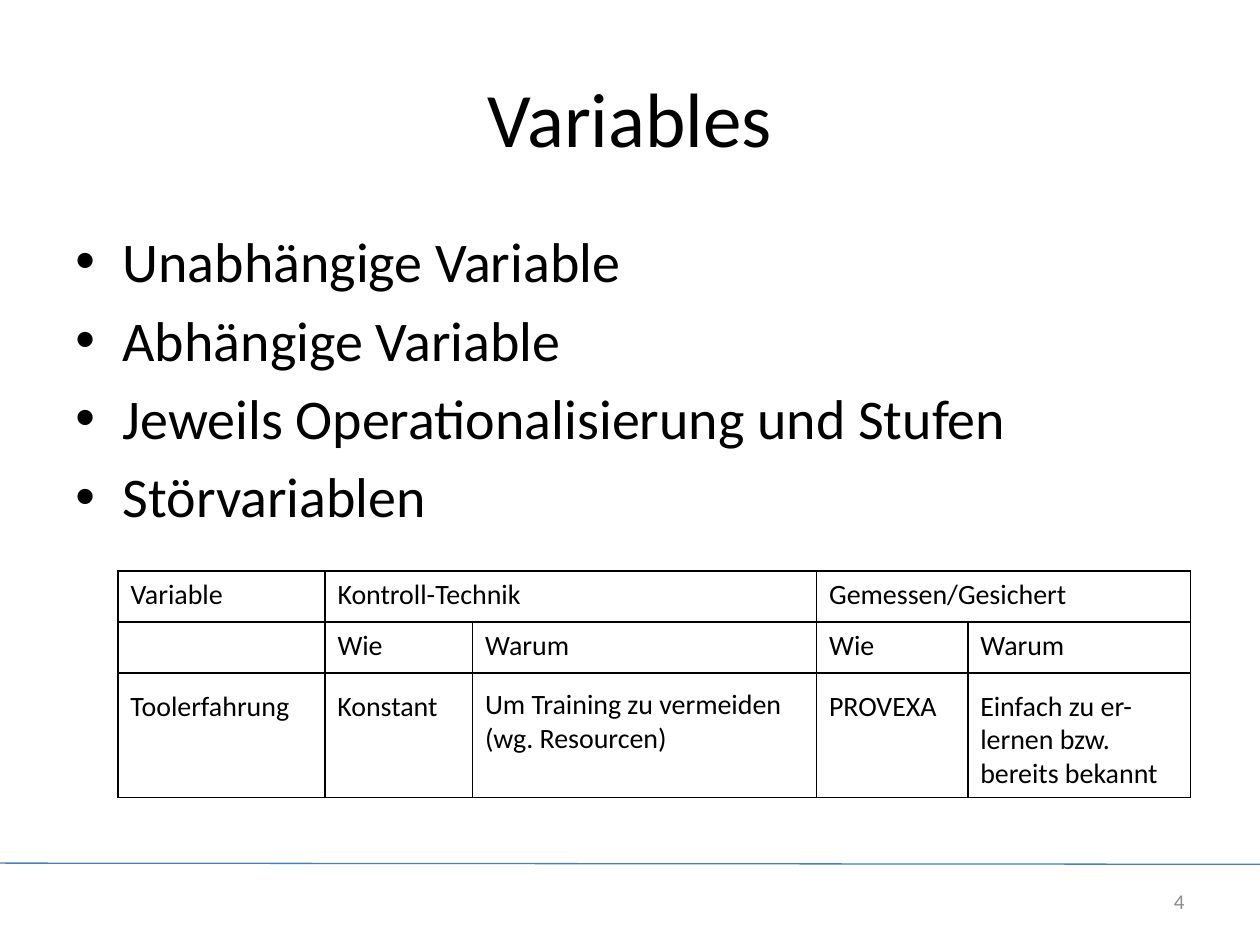
from dataclasses import dataclass
from itertools import accumulate

from lxml.etree import SubElement
from pptx import Presentation
from pptx.dml.color import RGBColor
from pptx.enum.shapes import MSO_CONNECTOR
from pptx.enum.text import MSO_ANCHOR, PP_ALIGN
from pptx.oxml import parse_xml
from pptx.oxml.ns import nsdecls, qn
from pptx.util import Pt


@dataclass(frozen=True)
class Theme:
    font: str = "Calibri"
    ink: str = "000000"
    muted: str = "8C8C8C"
    rule: str = "4B7EBC"
    title: int = 44
    body: int = 32
    table: int = 16
    number: int = 12
    thin: float = 0.75
    border: float = 1


class SlideBuilder:
    def __init__(self, prs, theme):
        self.theme = theme
        self.s = prs.slides.add_slide(prs.slide_layouts[5])

    def fill_text(self, tf, paragraphs, size, color=None, anchor=MSO_ANCHOR.MIDDLE, **fmt):
        tf.word_wrap = True
        tf.vertical_anchor = anchor
        for i, text in enumerate(paragraphs):
            p = tf.add_paragraph() if i else tf.paragraphs[0]
            for name, value in fmt.items():
                setattr(p, name, value)
            r = p.add_run()
            r.text = text
            font = {"name": self.theme.font, "size": Pt(size)}
            for name, value in font.items():
                setattr(r.font, name, value)
            r.font.color.rgb = RGBColor.from_string(color or self.theme.ink)

    def title(self, box, text):
        sp = self.s.shapes.title
        for name, value in zip(("left", "top", "width", "height"), box):
            setattr(sp, name, Pt(value))
        self.fill_text(sp.text_frame, [text], self.theme.title, alignment=PP_ALIGN.CENTER)

    def text(self, box, paragraphs, size, **fmt):
        sp = self.s.shapes.add_textbox(*map(Pt, box))
        self.fill_text(sp.text_frame, paragraphs, size, **fmt)
        return sp

    def bullets(self, box, items, indent=27):
        size = self.theme.body
        sp = self.text(box, items, size, anchor=MSO_ANCHOR.TOP, space_before=Pt(size * 0.2))
        for p in sp.text_frame.paragraphs:
            pPr = p._p.get_or_add_pPr()
            pPr.set("marL", str(Pt(indent)))
            pPr.set("indent", str(Pt(-indent)))
            SubElement(pPr, qn("a:buFont"), typeface="Arial")
            SubElement(pPr, qn("a:buChar"), char="•")

    def line(self, x1, y1, x2, y2, color=None):
        c = self.s.shapes.add_connector(MSO_CONNECTOR.STRAIGHT, *map(Pt, (x1, y1, x2, y2)))
        c.line.color.rgb = RGBColor.from_string(color or self.theme.ink)
        c.line.width = Pt(self.theme.thin)
        SubElement(c._element.spPr, qn("a:effectLst"))

    def borders(self, cell):
        tcPr = cell._tc.get_or_add_tcPr()
        for i, side in enumerate("LRTB"):
            tcPr.insert(i, parse_xml(
                f'<a:ln{side} {nsdecls("a")} w="{Pt(self.theme.border)}"><a:solidFill>'
                f'<a:srgbClr val="{self.theme.ink}"/></a:solidFill></a:ln{side}>'))

    def table(self, left, top, widths, row_height, rows, merges):
        box = left, top, sum(widths), row_height * len(rows)
        tbl = self.s.shapes.add_table(len(rows), len(widths), *map(Pt, box)).table
        for name in ("first_row", "horz_banding"):
            setattr(tbl, name, False)
        for column, width in zip(tbl.columns, widths):
            column.width = Pt(width)
        for row, values in zip(tbl.rows, rows):
            row.height = Pt(row_height)
            for cell, value in zip(row.cells, values):
                cell.fill.background()
                self.borders(cell)
                if value:
                    self.fill_text(cell.text_frame, [value], self.theme.table, anchor=None)
        for r, first, last in merges:
            tbl.cell(r, first).merge(tbl.cell(r, last))


def main():
    theme = Theme()
    prs = Presentation()
    prs.slide_width, prs.slide_height = Pt(720), Pt(540)
    b = SlideBuilder(prs, theme)

    b.line(0, 493.2, 720, 493.9, theme.rule)
    b.title((36, 21.6, 648, 90), "Variables")
    b.bullets((36, 126, 648, 356.4), [
        "Unabhängige Variable",
        "Abhängige Variable",
        "Jeweils Operationalisierung und Stufen",
        "Störvariablen",
    ])
    b.text((618.5, 500.5, 65.5, 28.8), ["4"], theme.number,
           color=theme.muted, alignment=PP_ALIGN.RIGHT)

    left, top, row_height = 67.5, 326.3, 29.2
    widths = [118.2, 84.4, 196.6, 86.4, 127.4]
    b.table(left, top, widths, row_height, [
        ["Variable", "Kontroll-Technik", "", "Gemessen/Gesichert", ""],
        ["", "Wie", "Warum", "Wie", "Warum"],
    ], merges=[(0, 1, 2), (0, 3, 4)])

    edges = list(accumulate(widths, initial=left))
    entries = [
        ("Toolerfahrung", 17),
        ("Konstant", 17),
        ("Um Training zu vermeiden (wg. Resourcen)", 34),
        ("PROVEXA", 17),
        ("Einfach zu er-lernen bzw. bereits bekannt", 55.4),
    ]
    for x, width, (text, height) in zip(edges, widths, entries):
        b.text((x, 394.5, width, height), [text], theme.table)

    bottom = 455.8
    b.line(edges[0], bottom, edges[-1], bottom)
    for x in edges:
        b.line(x, top + 2 * row_height, x, bottom)

    prs.save("out.pptx")


if __name__ == "__main__":
    main()
